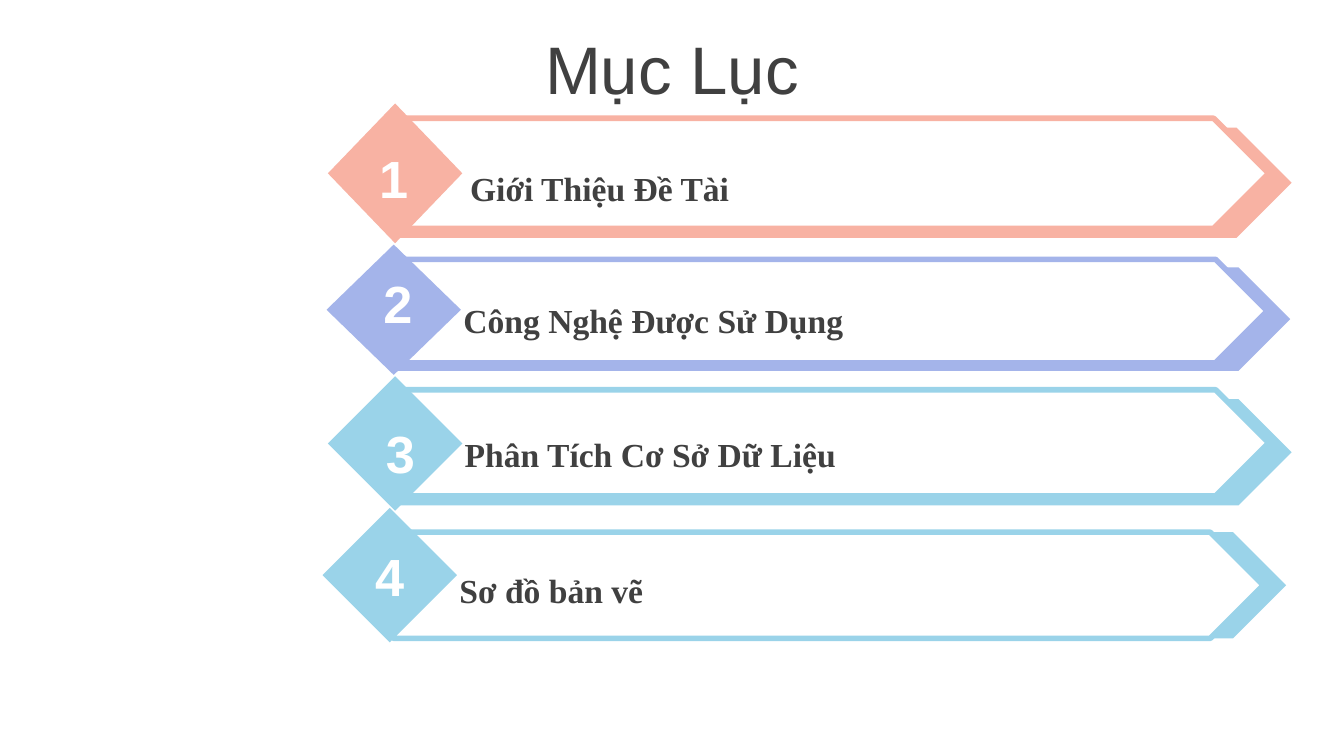
import pptx
import pptx.util
import pptx.dml.color
import pptx.enum.shapes
import pptx.enum.text

INK, WHITE = "404040", "FFFFFF"
PINK, BLUE, SKY = "F8B2A3", "A4B4EA", "9AD3E9"

ROWS = [
    dict(box=(2.44, 0.77, 1, 1.04), plate=0.82, back=0.18, front=0.11, tone=PINK,
         spot=(0.27, 0.27), place=(0.96, 0.43), label="Giới Thiệu Đề Tài"),
    dict(box=(2.43, 1.82, 1, 0.97), plate=0.77, back=0.17, front=0.11, tone=BLUE,
         spot=(0.31, 0.15), place=(0.92, 0.36), label="Công Nghệ Được Sử Dụng"),
    dict(box=(2.44, 2.8, 1, 1), plate=0.79, back=0.17, front=0.1, tone=SKY,
         spot=(0.32, 0.28), place=(0.92, 0.38), label="Phân Tích Cơ Sở Dữ Liệu"),
    dict(box=(2.4, 3.78, 1, 1), plate=0.79, back=0.18, front=0.18, tone=SKY,
         spot=None, place=(0.92, 0.41), label="Sơ đồ bản vẽ"),
]


def paint(fill, tone):
    fill.solid()
    fill.fore_color.rgb = pptx.dml.color.RGBColor.from_string(tone)


def write(shape, text, size, face, tone, bold=False, align="CENTER", anchor="MIDDLE"):
    frame = shape.text_frame
    frame.text = text
    frame.word_wrap = True
    frame.auto_size = pptx.enum.text.MSO_AUTO_SIZE.NONE
    frame.vertical_anchor = pptx.enum.text.MSO_ANCHOR[anchor]
    line = frame.paragraphs[0]
    line.alignment = pptx.enum.text.PP_ALIGN[align]
    font = line.runs[0].font
    font.size = pptx.util.Pt(size)
    font.name = face
    font.bold = bold
    paint(font.fill, tone)


def draw(group, kind, box, tone, edge=None):
    preset = pptx.enum.shapes.MSO_SHAPE[kind]
    shape = group.shapes.add_shape(preset, *map(pptx.util.Inches, box))
    shape.shadow.inherit = False
    paint(shape.fill, tone)
    if edge:
        paint(shape.line.fill, edge)
        shape.line.width = pptx.util.Pt(3)
    else:
        shape.line.fill.background()
    return shape


def add_title(slide, box):
    title = slide.shapes.title
    title.left, title.top, title.width, title.height = map(pptx.util.Inches, box)
    write(title, "Mục Lục", 36, "Arial", INK)


def add_row(slide, number, box, plate, back, front, tone, spot, place, label):
    left, top = box[:2]
    start = left + 0.53
    group = slide.shapes.add_group_shape()
    draw(group, "PENTAGON", (start, top + back, 6.64, plate), tone)
    draw(group, "PENTAGON", (start, top + front, 6.47, plate), WHITE, tone)
    badge = draw(group, "DIAMOND", box, tone)
    if spot:
        area = left + spot[0], top + spot[1], 0.44, 0.57
        badge = slide.shapes.add_textbox(*map(pptx.util.Inches, area))
    write(badge, str(number), 28, "Arial", WHITE, True)
    area = left + place[0], top + place[1], 5.2, 0.4
    text = slide.shapes.add_textbox(*map(pptx.util.Inches, area))
    write(text, label, 18, "Times New Roman", INK, True, "LEFT", "TOP")


def main():
    deck = pptx.Presentation()
    deck.slide_width = pptx.util.Inches(10)
    deck.slide_height = deck.slide_width * 9 // 16
    slide = deck.slides.add_slide(deck.slide_layouts[5])
    paint(slide.background.fill, WHITE)
    add_title(slide, (0, 0.19, 10, 0.63))
    for number, row in enumerate(ROWS, 1):
        add_row(slide, number, **row)
    deck.save("out.pptx")


if __name__ == "__main__":
    main()
